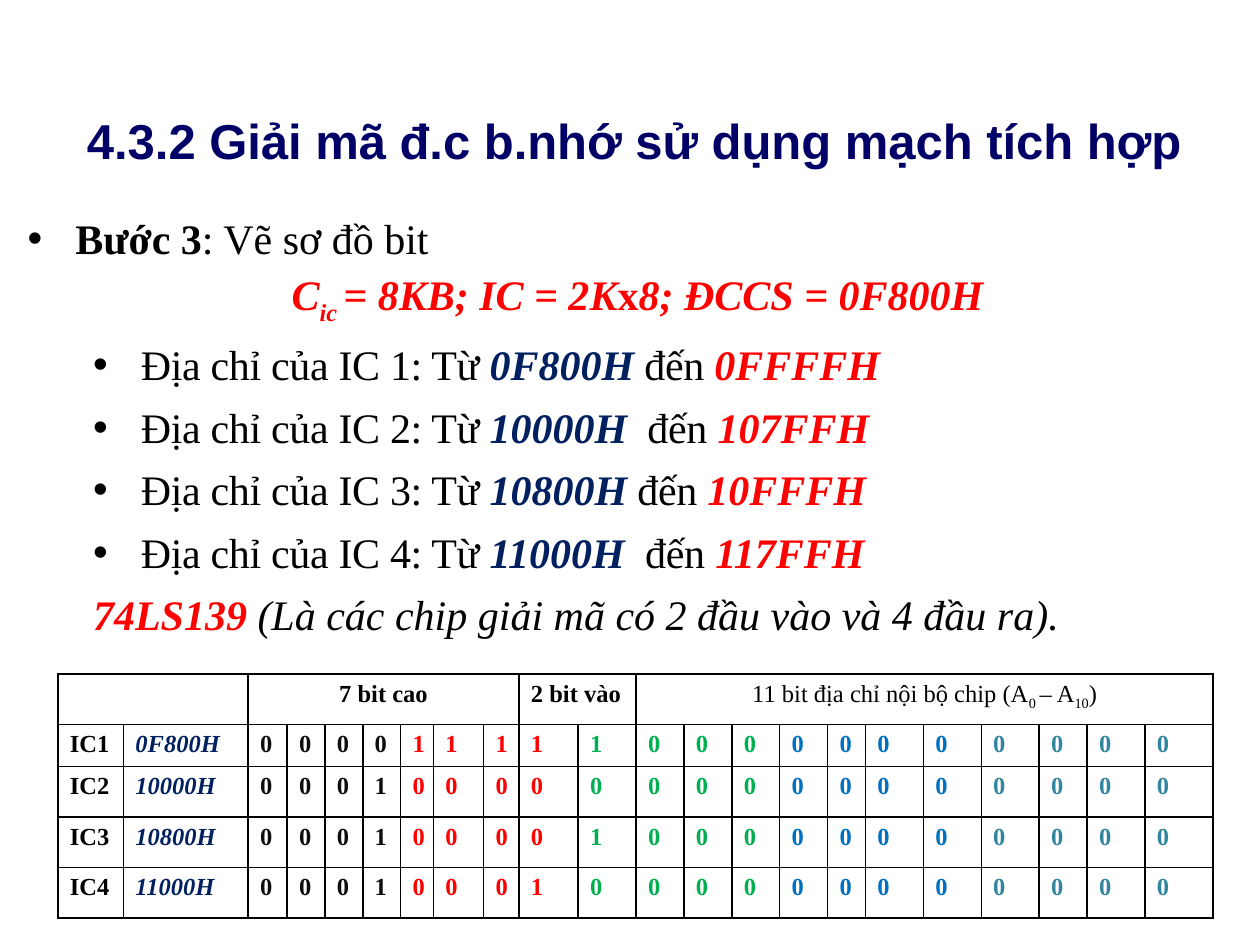
from lxml.etree import SubElement
from pptx import Presentation
from pptx.dml.color import RGBColor
from pptx.enum.text import PP_ALIGN
from pptx.oxml import parse_xml
from pptx.oxml.ns import nsdecls, qn
from pptx.util import Inches, Pt

BLACK, RED, NAVY, TITLE_BLUE = "000000", "FF0000", "002060", "000066"
NIBBLE_COLORS = ["0D0D0D", RED, "00B050", "0070C0", "31859C"]
SERIF = "Times New Roman"

deck = Presentation()
deck.slide_width, deck.slide_height = Inches(10), Inches(7.5)
column, row = deck.slide_width / 100, deck.slide_height / 75
slide = deck.slides.add_slide(deck.slide_layouts[6])


def write(paragraph, pieces, size, font=SERIF):
    """Add runs given as (text, color, style); style letters: b, i, s (subscript), t (tight)."""
    for text, color, style in pieces:
        run = paragraph.add_run()
        run.text = text
        run.font.name, run.font.size = font, Pt(size)
        run.font.bold, run.font.italic = "b" in style, "i" in style
        run.font.color.rgb = RGBColor.from_string(color)
        if "s" in style:
            run.font._element.set("baseline", "-25000")
        if "t" in style:
            run.font._element.set("spc", "-20")


def add_text(left, top, width, height, paragraphs, line_spacing, before, after=0,
             size=24, font=SERIF, align=PP_ALIGN.LEFT, insets=None):
    """Place paragraphs given as (bulleted, pieces) on the 100 by 75 slide grid."""
    box = slide.shapes.add_textbox(int(left * column), int(top * row),
                                   int(width * column), int(height * row))
    frame = box.text_frame
    frame.word_wrap = True
    if insets is not None:
        frame.margin_left = frame.margin_right = frame.margin_bottom = 0
        frame.margin_top = int(insets * row)
    for index, (bulleted, pieces) in enumerate(paragraphs):
        paragraph = frame.add_paragraph() if index else frame.paragraphs[0]
        paragraph.alignment, paragraph.line_spacing = align, line_spacing
        paragraph.space_before, paragraph.space_after = Pt(before), Pt(after)
        write(paragraph, pieces, size, font)
        if bulleted:
            properties = paragraph._p.get_or_add_pPr()
            properties.set("marL", str(int(3.8 * column)))
            properties.set("indent", str(int(-3.8 * column)))
            SubElement(properties, qn("a:buFont")).set("typeface", "Arial")
            SubElement(properties, qn("a:buChar")).set("char", "•")


# Heading, step and capacity formula
add_text(6.9, 8.7, 90, 4.9,
         [(False, [("4.3.2 Giải mã đ.c b.nhớ sử dụng mạch tích hợp", TITLE_BLUE, "b")])],
         1, 1, size=28, font="Arial", insets=0.1)
add_text(1.2, 16.1, 93.8, 5,
         [(True, [("Bước 3", BLACK, "b"), (": Vẽ sơ đồ bit", BLACK, "")])], 1.07, 6, 6)
add_text(6.2, 20.2, 88.8, 4.9,
         [(False, [("C", RED, "bi"), ("ic ", RED, "bis"), ("= 8KB; IC = 2K", RED, "bi"),
                   ("x", RED, "b"), ("8; ĐCCS = 0F800H", RED, "bi")])],
         1.07, 6, 6, align=PP_ALIGN.CENTER, insets=0.8)

# Address range of each chip
ranges = [("0F800H", " đến ", "0FFFFH"), ("10000H", "  đến ", "107FFH"),
          ("10800H", " đến ", "10FFFH"), ("11000H", "  đến ", "117FFH")]
range_lines = [(True, [(f"Địa chỉ của IC {chip}: Từ ", BLACK, "t"), (first, NAVY, "bi"),
                       (to, BLACK, "t"), (last, RED, "bi")])
               for chip, (first, to, last) in enumerate(ranges, 1)]
decoder_line = (False, [("74LS139", RED, "bi"),
                        (" (Là các chip giải mã có 2 đầu vào và 4 đầu ra).", BLACK, "i")])
add_text(6.4, 26.2, 93.6, 24.5, range_lines + [decoder_line], 1.05, 5.5)

# Bit map: one column per address bit
widths = [5.2, 9.9, 3.1, 3, 3, 3, 2.6, 4, 2.8, 4.7, 4.6,
          3.8, 3.8, 3.8, 3.8, 3, 4.6, 4.6, 4.6, 3.8, 4.6, 5.4]
heights = [3.7, 3.3, 4, 4, 4]
bit_map = slide.shapes.add_table(
    len(heights), len(widths), int(4.6 * column), int(53.5 * row),
    int(sum(widths) * column), int(sum(heights) * row)).table
for table_column, width in zip(bit_map.columns, widths):
    table_column.width = int(width * column)
for table_row, height in zip(bit_map.rows, heights):
    table_row.height = int(height * row)

for cell in bit_map.iter_cells():
    cell.margin_left = cell.margin_right = int(0.95 * column)
    for position, side in enumerate(["lnL", "lnR", "lnT", "lnB"]):
        cell._tc.get_or_add_tcPr().insert(position, parse_xml(
            f'<a:{side} {nsdecls("a")} w="12700"><a:solidFill>'
            f'<a:srgbClr val="{BLACK}"/></a:solidFill></a:{side}>'))
    cell.fill.solid()
    cell.fill.fore_color.rgb = RGBColor.from_string("FFFFFF")

headers = [
    (0, 1, PP_ALIGN.LEFT, [("", BLACK, "")]),
    (2, 8, PP_ALIGN.CENTER, [("7 bit cao", BLACK, "b")]),
    (9, 10, PP_ALIGN.LEFT, [("2 bit vào", BLACK, "b")]),
    (11, 21, PP_ALIGN.CENTER, [("11 bit địa chỉ nội bộ chip (A", BLACK, ""), ("0 ", BLACK, "s"),
                               ("– A", BLACK, ""), ("10", BLACK, "s"), (")", BLACK, "")]),
]
for first, last, align, pieces in headers:
    header = bit_map.cell(0, first)
    header.merge(bit_map.cell(0, last))
    header.text_frame.paragraphs[0].alignment = align
    write(header.text_frame.paragraphs[0], pieces, 14)

for chip, (address, _, _) in enumerate(ranges, 1):
    bits = f"{int(address[:-1], 16):020b}"
    entries = [(f"IC{chip}", BLACK, "b"), (address, NAVY, "bi")]
    entries += [(bit, NIBBLE_COLORS[place // 4], "b") for place, bit in enumerate(bits)]
    for place, entry in enumerate(entries):
        write(bit_map.cell(chip, place).text_frame.paragraphs[0], [entry], 14)

deck.save("out.pptx")
